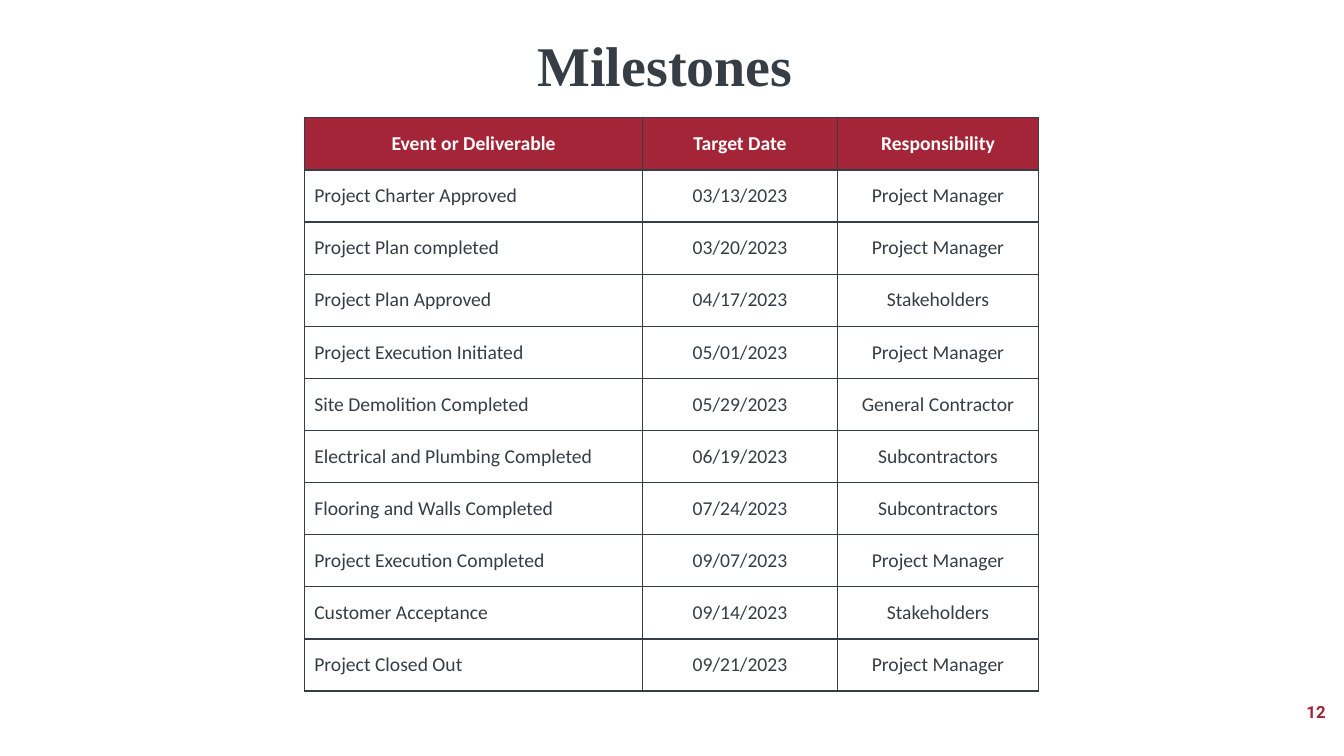
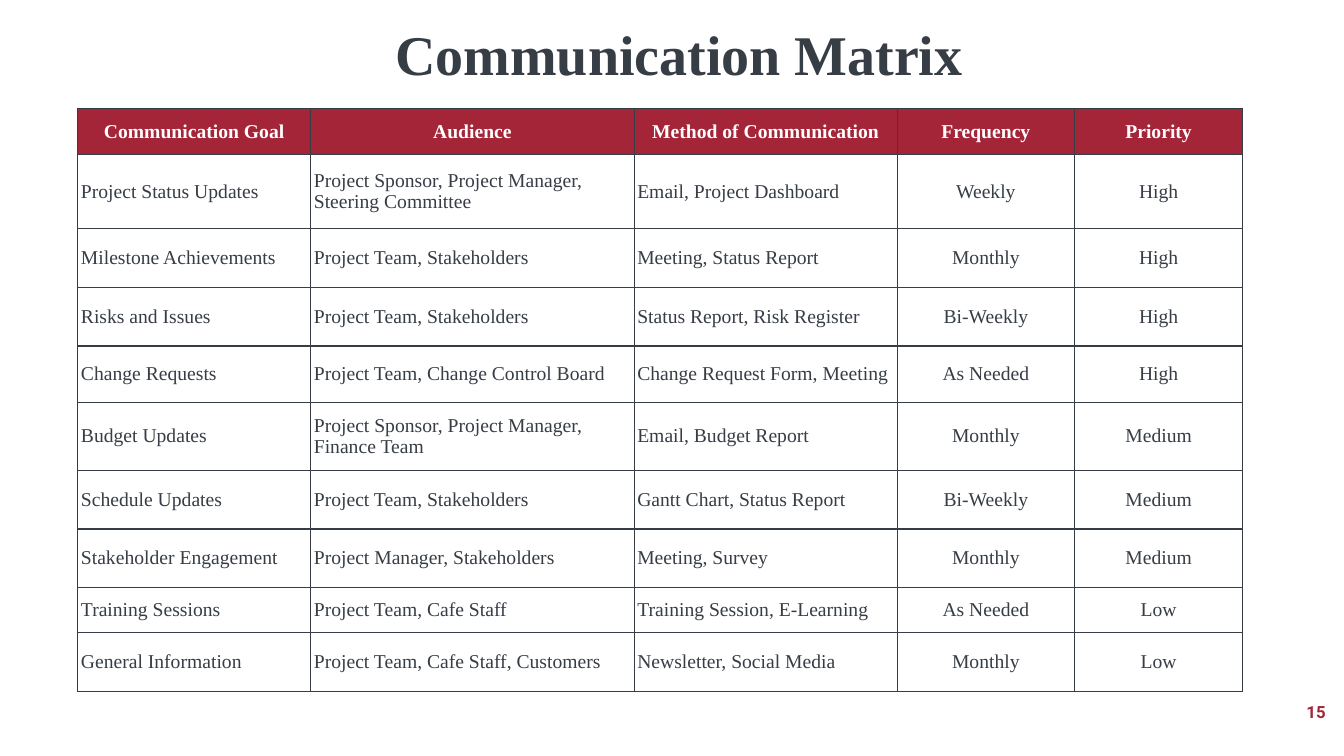
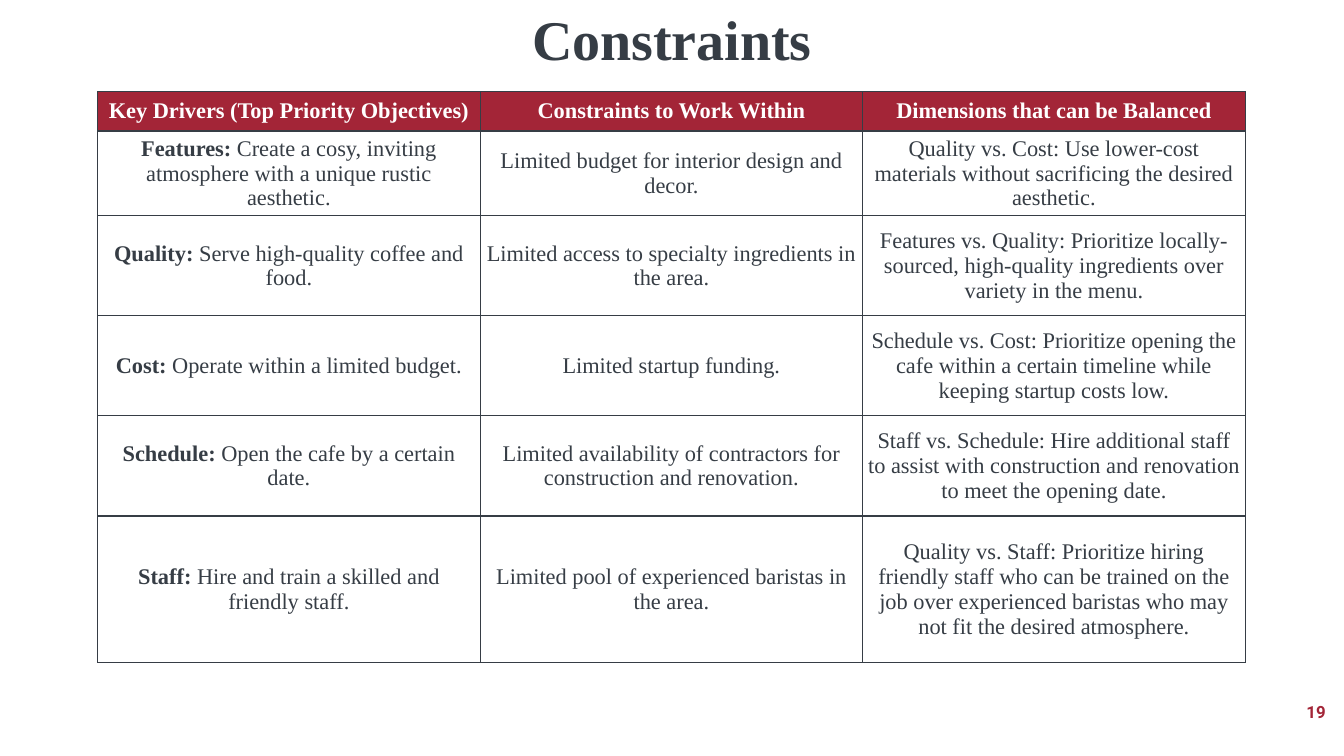
from dataclasses import dataclass

from lxml import etree
from pptx import Presentation
from pptx import util as u
from pptx.dml import color
from pptx.enum import text
from pptx.oxml import ns

LEFT, CENTER, RIGHT = text.PP_ALIGN.LEFT, text.PP_ALIGN.CENTER, text.PP_ALIGN.RIGHT


@dataclass(frozen=True)
class Theme:
    ink: str = "363D45"
    accent: str = "A32537"
    paper: str = "FFFFFF"
    serif: str = "Times New Roman"
    sans: str = "Calibri"
    number_font: str = "Roboto"
    title_size: int = 40
    number_size: int = 12
    border_width: int = 1


THEME = Theme()
SLIDE_WIDTH, SLIDE_HEIGHT = 33.87, 19.05


@dataclass(frozen=True)
class TextStyle:
    font: str
    size: int
    color: str
    bold: bool = False


TITLE_STYLE = TextStyle(THEME.serif, THEME.title_size, THEME.ink, True)
NUMBER_STYLE = TextStyle(THEME.number_font, THEME.number_size, THEME.accent, True)


@dataclass(frozen=True)
class Grid:
    """A table; lengths are in centimetres and the first row is the header."""
    left: float
    top: float
    columns: list[float]
    row_heights: list[float]
    alignments: list[text.PP_ALIGN]
    rows: list[tuple[str, ...]]
    font: str
    size: int
    side_margin: float
    end_margin: float
    bold_lead: bool = False


@dataclass(frozen=True)
class Page:
    number: int
    title: str
    title_top: float
    grid: Grid


MILESTONES = Grid(
    left=7.67, top=2.97,
    columns=[8.53, 4.9, 5.08],
    row_heights=[14.45 / 11] * 11,
    alignments=[LEFT, CENTER, CENTER],
    font=THEME.sans, size=14, side_margin=0.25, end_margin=0.13,
    rows=[
        ("Event or Deliverable", "Target Date", "Responsibility"),
        ("Project Charter Approved", "03/13/2023", "Project Manager"),
        ("Project Plan completed", "03/20/2023", "Project Manager"),
        ("Project Plan Approved", "04/17/2023", "Stakeholders"),
        ("Project Execution Initiated", "05/01/2023", "Project Manager"),
        ("Site Demolition Completed", "05/29/2023", "General Contractor"),
        ("Electrical and Plumbing Completed", "06/19/2023", "Subcontractors"),
        ("Flooring and Walls Completed", "07/24/2023", "Subcontractors"),
        ("Project Execution Completed", "09/07/2023", "Project Manager"),
        ("Customer Acceptance", "09/14/2023", "Stakeholders"),
        ("Project Closed Out", "09/21/2023", "Project Manager"),
    ],
)

COMMUNICATION = Grid(
    left=1.96, top=2.74,
    columns=[5.87, 8.15, 6.63, 4.47, 4.24],
    row_heights=[1.15, 1.87, 1.48, 1.48, 1.42, 1.71, 1.48, 1.48, 1.14, 1.48],
    alignments=[LEFT, LEFT, LEFT, CENTER, CENTER],
    font=THEME.serif, size=14, side_margin=0.08, end_margin=0.05,
    rows=[
        ("Communication Goal", "Audience", "Method of Communication", "Frequency", "Priority"),
        ("Project Status Updates", "Project Sponsor, Project Manager, Steering Committee",
         "Email, Project Dashboard", "Weekly", "High"),
        ("Milestone Achievements", "Project Team, Stakeholders",
         "Meeting, Status Report", "Monthly", "High"),
        ("Risks and Issues", "Project Team, Stakeholders",
         "Status Report, Risk Register", "Bi-Weekly", "High"),
        ("Change Requests", "Project Team, Change Control Board",
         "Change Request Form, Meeting", "As Needed", "High"),
        ("Budget Updates", "Project Sponsor, Project Manager, Finance Team",
         "Email, Budget Report", "Monthly", "Medium"),
        ("Schedule Updates", "Project Team, Stakeholders",
         "Gantt Chart, Status Report", "Bi-Weekly", "Medium"),
        ("Stakeholder Engagement", "Project Manager, Stakeholders",
         "Meeting, Survey", "Monthly", "Medium"),
        ("Training Sessions", "Project Team, Cafe Staff",
         "Training Session, E-Learning", "As Needed", "Low"),
        ("General Information", "Project Team, Cafe Staff, Customers",
         "Newsletter, Social Media", "Monthly", "Low"),
    ],
)

CONSTRAINTS = Grid(
    left=2.46, top=2.31,
    columns=[9.64] * 3,
    row_heights=[0.99, 2.14, 2.52, 2.52, 2.52, 3.7],
    alignments=[CENTER] * 3,
    font=THEME.serif, size=16, side_margin=0.1, end_margin=0.05, bold_lead=True,
    rows=[
        ("Key Drivers (Top Priority Objectives)", "Constraints to Work Within",
         "Dimensions that can be Balanced"),
        ("Features: Create a cosy, inviting atmosphere with a unique rustic aesthetic.",
         "Limited budget for interior design and decor.",
         "Quality vs. Cost: Use lower-cost materials without sacrificing the desired aesthetic."),
        ("Quality: Serve high-quality coffee and food.",
         "Limited access to specialty ingredients in the area.",
         "Features vs. Quality: Prioritize locally-sourced, high-quality ingredients over "
         "variety in the menu."),
        ("Cost: Operate within a limited budget.",
         "Limited startup funding.",
         "Schedule vs. Cost: Prioritize opening the cafe within a certain timeline while "
         "keeping startup costs low."),
        ("Schedule: Open the cafe by a certain date.",
         "Limited availability of contractors for construction and renovation.",
         "Staff vs. Schedule: Hire additional staff to assist with construction and "
         "renovation to meet the opening date."),
        ("Staff: Hire and train a skilled and friendly staff.",
         "Limited pool of experienced baristas in the area.",
         "Quality vs. Staff: Prioritize hiring friendly staff who can be trained on the job "
         "over experienced baristas who may not fit the desired atmosphere."),
    ],
)

PAGES = [
    Page(12, "Milestones ", 0.64, MILESTONES),
    Page(15, " Communication Matrix", 0.38, COMMUNICATION),
    Page(19, "Constraints", 0, CONSTRAINTS),
]


def add_run(paragraph, content: str, style: TextStyle) -> None:
    run = paragraph.add_run()
    run.text = content
    run.font.name = style.font
    run.font.size = u.Pt(style.size)
    run.font.bold = style.bold
    run.font.color.rgb = color.RGBColor.from_string(style.color)


def add_label(slide, content: str, box: tuple[float, float, float, float],
              style: TextStyle, alignment: text.PP_ALIGN):
    frame = slide.shapes.add_textbox(*map(u.Cm, box)).text_frame
    frame.word_wrap = True
    paragraph = frame.paragraphs[0]
    paragraph.alignment = alignment
    add_run(paragraph, content, style)
    return frame


def add_borders(cell) -> None:
    properties = cell._tc.get_or_add_tcPr()
    for side in ("L", "R", "T", "B"):
        line = etree.SubElement(properties, ns.qn(f"a:ln{side}"),
                                w=str(u.Pt(THEME.border_width)))
        fill = etree.SubElement(line, ns.qn("a:solidFill"))
        etree.SubElement(fill, ns.qn("a:srgbClr"), val=THEME.ink)


def fill_cell(cell, content: str, grid: Grid, is_header: bool, column: int) -> None:
    cell.margin_left = cell.margin_right = u.Cm(grid.side_margin)
    cell.margin_top = cell.margin_bottom = u.Cm(grid.end_margin)
    cell.vertical_anchor = text.MSO_ANCHOR.MIDDLE
    add_borders(cell)
    cell.fill.solid()
    cell.fill.fore_color.rgb = color.RGBColor.from_string(
        THEME.accent if is_header else THEME.paper)

    paragraph = cell.text_frame.paragraphs[0]
    paragraph.alignment = CENTER if is_header else grid.alignments[column]
    if is_header:
        add_run(paragraph, content, TextStyle(grid.font, grid.size, THEME.paper, True))
        return
    if grid.bold_lead and column == 0:
        lead, colon, content = content.partition(":")
        add_run(paragraph, lead + colon, TextStyle(grid.font, grid.size, THEME.ink, True))
    add_run(paragraph, content, TextStyle(grid.font, grid.size, THEME.ink))


def add_grid(slide, grid: Grid) -> None:
    box = (grid.left, grid.top, sum(grid.columns), sum(grid.row_heights))
    table = slide.shapes.add_table(len(grid.rows), len(grid.columns), *map(u.Cm, box)).table
    for column, width in zip(table.columns, grid.columns):
        column.width = u.Cm(width)
    for row, height in zip(table.rows, grid.row_heights):
        row.height = u.Cm(height)
    for row_index, row_texts in enumerate(grid.rows):
        for column_index, content in enumerate(row_texts):
            fill_cell(table.cell(row_index, column_index), content, grid,
                      row_index == 0, column_index)


def add_page(presentation, page: Page) -> None:
    slide = presentation.slides.add_slide(presentation.slide_layouts[6])
    number = add_label(slide, str(page.number), (26.04, 17.42, 7.62, 1.02),
                       NUMBER_STYLE, RIGHT)
    number.vertical_anchor = text.MSO_ANCHOR.MIDDLE
    add_grid(slide, page.grid)
    title = add_label(slide, page.title, (0, page.title_top, SLIDE_WIDTH, 1.96),
                      TITLE_STYLE, CENTER)
    title.auto_size = text.MSO_AUTO_SIZE.SHAPE_TO_FIT_TEXT


def main() -> None:
    presentation = Presentation()
    presentation.slide_width = u.Cm(SLIDE_WIDTH)
    presentation.slide_height = u.Cm(SLIDE_HEIGHT)
    for page in PAGES:
        add_page(presentation, page)
    presentation.save("out.pptx")


if __name__ == "__main__":
    main()
